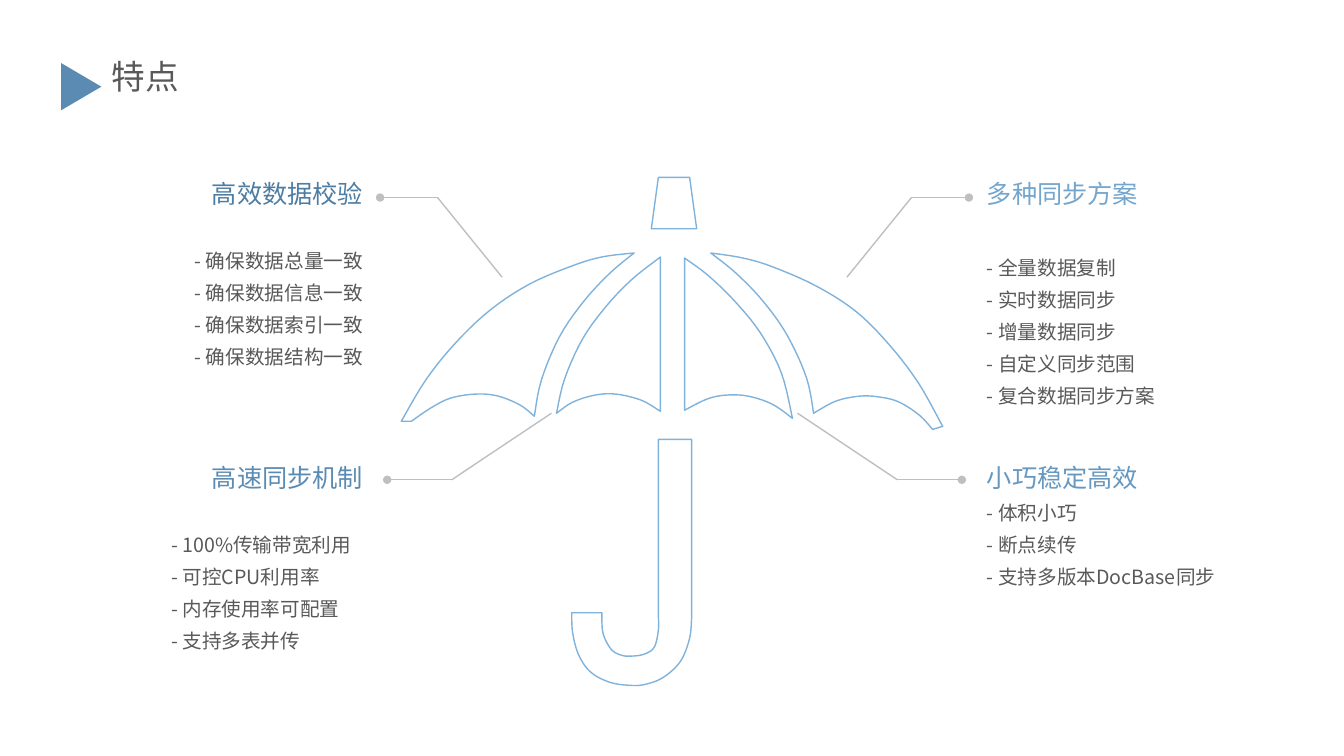
from dataclasses import dataclass

from pptx import Presentation
from pptx.dml.color import RGBColor
from pptx.enum.shapes import MSO_CONNECTOR, MSO_SHAPE
from pptx.enum.text import PP_ALIGN
from pptx.oxml.ns import qn
from pptx.util import Inches, Pt
from lxml.etree import SubElement


@dataclass(frozen=True)
class Theme:
    font: str = "Noto Sans CJK SC"
    paper: str = "FFFFFF"
    body: str = "595959"
    accent: str = "5B8BB2"
    outline: str = "80B3DB"
    leader: str = "BFBFBF"
    title_size: int = 24
    heading_size: int = 18
    item_size: int = 14
    item_gap: int = 6
    line_height: float = 1.2
    stroke: int = 1


def smooth(knots, steps=5):
    """Points of a Catmull-Rom curve through the knots, without the first."""
    if len(knots) == 2:
        return knots[1:]
    padded = [knots[0], *knots, knots[-1]]
    points = []
    for a, b, c, d in zip(padded, padded[1:], padded[2:], padded[3:]):
        for step in range(1, steps + 1):
            t = step / steps
            points.append(tuple(
                (2 * q + (r - p) * t + (2 * p - 5 * q + 4 * r - s) * t**2
                 + (3 * q - p - 3 * r + s) * t**3) / 2
                for p, q, r, s in zip(a, b, c, d)))
    return points


class SlideBuilder:
    def __init__(self, slide, theme):
        self.slide = slide
        self.theme = theme

    def text_frame(self, left, top, width, height):
        frame = self.slide.shapes.add_textbox(
            Inches(left), Inches(top), Inches(width), Inches(height)).text_frame
        frame.word_wrap = True
        return frame

    def set_paragraph(self, paragraph, text, size, color, align=PP_ALIGN.LEFT, before=0, indent=0):
        paragraph.text = text
        paragraph.alignment = align
        paragraph.space_before = Pt(before)
        paragraph.line_spacing = Pt(size * self.theme.line_height)
        font = paragraph.font
        font.size = Pt(size)
        font.name = self.theme.font
        font.color.rgb = RGBColor.from_string(color)
        properties = paragraph._p.get_or_add_pPr()
        properties.set("marL", str(Inches(indent)))
        SubElement(properties.find(qn("a:defRPr")), qn("a:ea"), typeface=self.theme.font)

    def title(self, text):
        frame = self.text_frame(1.01, 0.51, 3.26, 0.5)
        self.set_paragraph(frame.paragraphs[0], text, self.theme.title_size, self.theme.body)

    def title_marker(self):
        marker = self.slide.shapes.add_shape(
            MSO_SHAPE.ISOSCELES_TRIANGLE, Inches(0.57), Inches(0.66), Inches(0.47), Inches(0.4))
        marker.rotation = 90
        marker.shadow.inherit = False
        marker.fill.solid()
        marker.fill.fore_color.rgb = RGBColor.from_string(self.theme.accent)
        marker.line.fill.background()

    def feature(self, left, top, height, heading, color, items, first_gap,
                heading_align=PP_ALIGN.LEFT, item_align=PP_ALIGN.LEFT, indent=0):
        theme = self.theme
        frame = self.text_frame(left, top, 3.1, height)
        self.set_paragraph(frame.paragraphs[0], heading, theme.heading_size, color, heading_align)
        for number, item in enumerate(items):
            before = theme.item_gap if number else first_gap
            self.set_paragraph(frame.add_paragraph(), f"- {item}", theme.item_size, theme.body,
                               item_align, before, indent)

    def outline(self, edges):
        """Closed outline; an edge of two knots is straight, a longer one curved."""
        points = [(Inches(x), Inches(y)) for edge in edges for x, y in smooth(edge)]
        start_x, start_y = edges[0][0]
        builder = self.slide.shapes.build_freeform(Inches(start_x), Inches(start_y), 1.0)
        builder.add_line_segments(points, close=True)
        panel = builder.convert_to_shape()
        panel.shadow.inherit = False
        panel.fill.solid()
        panel.fill.fore_color.rgb = RGBColor.from_string(self.theme.paper)
        panel.line.color.rgb = RGBColor.from_string(self.theme.outline)
        panel.line.width = Pt(self.theme.stroke)

    def leader(self, start, end, dotted=False):
        line = self.slide.shapes.add_connector(
            MSO_CONNECTOR.STRAIGHT, *(Inches(v) for v in (*start, *end)))
        line.line.color.rgb = RGBColor.from_string(self.theme.leader)
        line.line.width = Pt(self.theme.stroke)
        properties = line._element.spPr
        if dotted:
            SubElement(properties.find(qn("a:ln")), qn("a:tailEnd"), type="oval")
        SubElement(properties, qn("a:effectLst"))


# Umbrella outlines as edges of knots, in inches
UMBRELLA = [
    # Left outer panel
    [[(6.29, 2.51), (6.05, 2.71), (5.79, 2.99), (5.55, 3.34), (5.37, 3.77), (5.3, 4.13)],
     [(5.3, 4.13), (5.16, 4.02), (4.94, 3.93), (4.72, 3.91), (4.47, 3.95), (4.27, 4.05), (4.08, 4.18)],
     [(4.08, 4.18), (3.98, 4.18)],
     [(3.98, 4.18), (4.23, 3.76), (4.53, 3.39), (4.87, 3.07), (5.25, 2.82), (5.67, 2.64),
      (5.97, 2.55), (6.29, 2.51)]],
    # Handle
    [[(6.53, 4.36), (6.86, 4.36)],
     [(6.86, 4.36), (6.86, 6.12)],
     [(6.86, 6.12), (6.84, 6.33), (6.75, 6.56), (6.58, 6.72), (6.4, 6.79), (6.25, 6.8),
      (6.05, 6.77), (5.86, 6.67), (5.74, 6.5), (5.68, 6.28), (5.67, 6.08)],
     [(5.67, 6.08), (5.97, 6.08)],
     [(5.97, 6.08), (5.98, 6.28), (6.06, 6.44), (6.16, 6.5), (6.26, 6.51), (6.39, 6.49),
      (6.49, 6.42), (6.53, 6.25), (6.53, 6.12)],
     [(6.53, 6.12), (6.53, 4.36)]],
    # Right outer panel
    [[(7.05, 2.51), (7.37, 2.56), (7.67, 2.65), (8.1, 2.84), (8.49, 3.09), (8.82, 3.42),
      (9.11, 3.8), (9.35, 4.23)],
     [(9.35, 4.23), (9.25, 4.26)],
     [(9.25, 4.26), (9.12, 4.12), (8.92, 3.99), (8.73, 3.94), (8.53, 3.93), (8.29, 3.98), (8.07, 4.1)],
     [(8.07, 4.1), (8, 3.75), (7.81, 3.33), (7.57, 2.99), (7.3, 2.71), (7.05, 2.51)]],
    # Tip
    [[(6.53, 1.76), (6.84, 1.76)], [(6.84, 1.76), (6.91, 2.27)],
     [(6.91, 2.27), (6.46, 2.27)], [(6.46, 2.27), (6.53, 1.76)]],
    # Right inner panel
    [[(6.79, 2.56), (7.02, 2.73), (7.28, 2.98), (7.54, 3.3), (7.75, 3.7), (7.86, 4.15)],
     [(7.86, 4.15), (7.66, 4.01), (7.42, 3.93), (7.2, 3.92), (7.01, 3.96), (6.79, 4.07)],
     [(6.79, 4.07), (6.79, 2.56)]],
    # Left inner panel
    [[(6.55, 2.55), (6.55, 4.08)],
     [(6.55, 4.08), (6.36, 3.97), (6.11, 3.91), (5.9, 3.92), (5.68, 3.99), (5.52, 4.1)],
     [(5.52, 4.1), (5.6, 3.76), (5.78, 3.36), (6.02, 3.03), (6.27, 2.77), (6.55, 2.55)]],
]

# Left-hand leaders: umbrella end, bend, dot
LEADERS = [
    [(4.98, 2.75), (4.34, 1.96), (3.77, 1.96)],
    [(5.47, 4.1), (4.48, 4.76), (3.84, 4.76)],
]
MIRROR_X = 6.69
LEFT_X, RIGHT_X = 0.6, 9.69
UPPER_Y, LOWER_Y = 1.72, 4.54


def main():
    deck = Presentation()
    deck.slide_width, deck.slide_height = Inches(13.33), Inches(7.5)
    theme = Theme()
    page = SlideBuilder(deck.slides.add_slide(deck.slide_layouts[6]), theme)

    # Umbrella
    for edges in UMBRELLA:
        page.outline(edges)

    # Leaders, mirrored to the right
    for route in LEADERS:
        mirrored = [(2 * MIRROR_X - x, y) for x, y in route]
        for tip, bend, dot in (route, mirrored):
            page.leader(tip, bend)
            page.leader(bend, dot, dotted=True)

    # Four features
    page.feature(LEFT_X, UPPER_Y, 2, "高效数据校验", "4E7DA3",
                 ["确保数据总量一致", "确保数据信息一致", "确保数据索引一致", "确保数据结构一致"],
                 first_gap=28.8, heading_align=PP_ALIGN.RIGHT, item_align=PP_ALIGN.RIGHT)
    page.feature(LEFT_X, LOWER_Y, 2, "高速同步机制", theme.accent,
                 ["100%传输带宽利用", "可控CPU利用率", "内存使用率可配置", "支持多表并传"],
                 first_gap=28.8, heading_align=PP_ALIGN.RIGHT, indent=1)
    page.feature(RIGHT_X, UPPER_Y, 2.39, "多种同步方案", "74A6CD",
                 ["全量数据复制", "实时数据同步", "增量数据同步", "自定义同步范围", "复合数据同步方案"],
                 first_gap=33.6)
    page.feature(RIGHT_X, LOWER_Y, 1.36, "小巧稳定高效", "6798C0",
                 ["体积小巧", "断点续传", "支持多版本DocBase同步"], first_gap=theme.item_gap)

    # Title
    page.title("特点")
    page.title_marker()

    deck.save("out.pptx")


if __name__ == "__main__":
    main()
